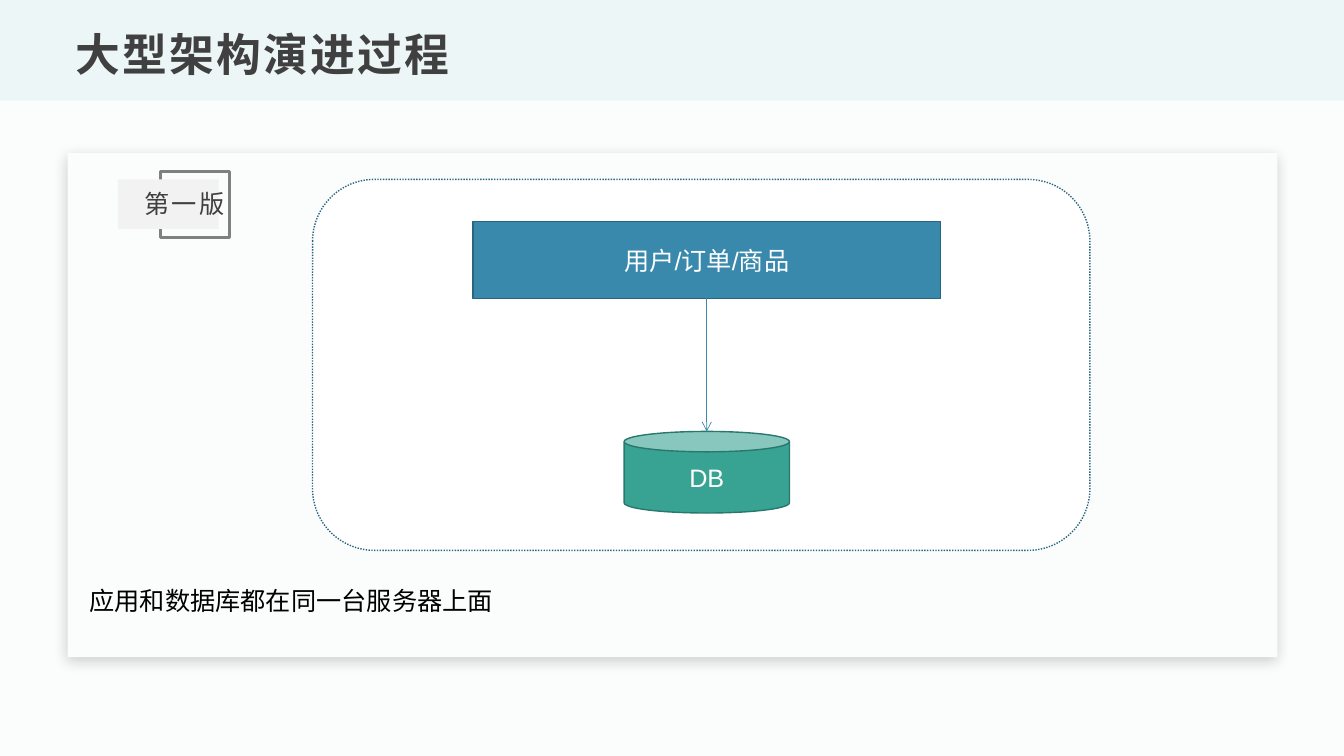
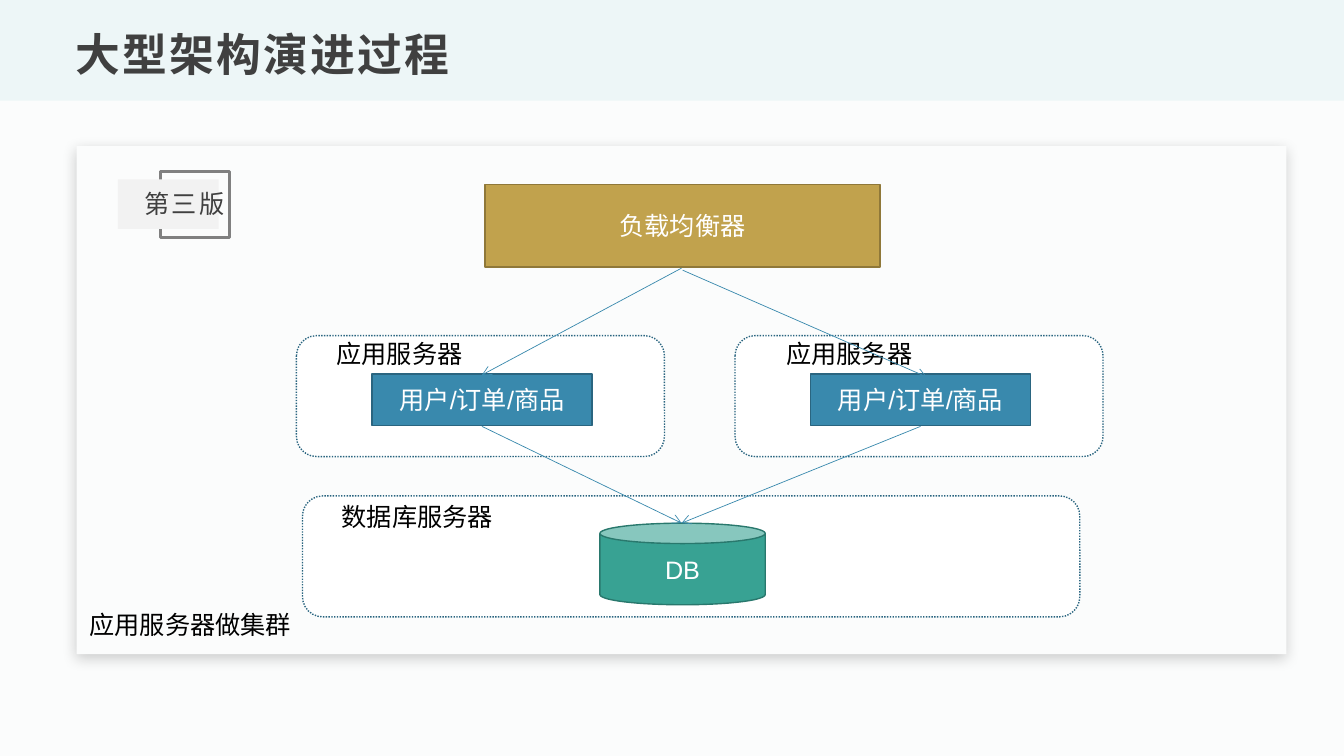
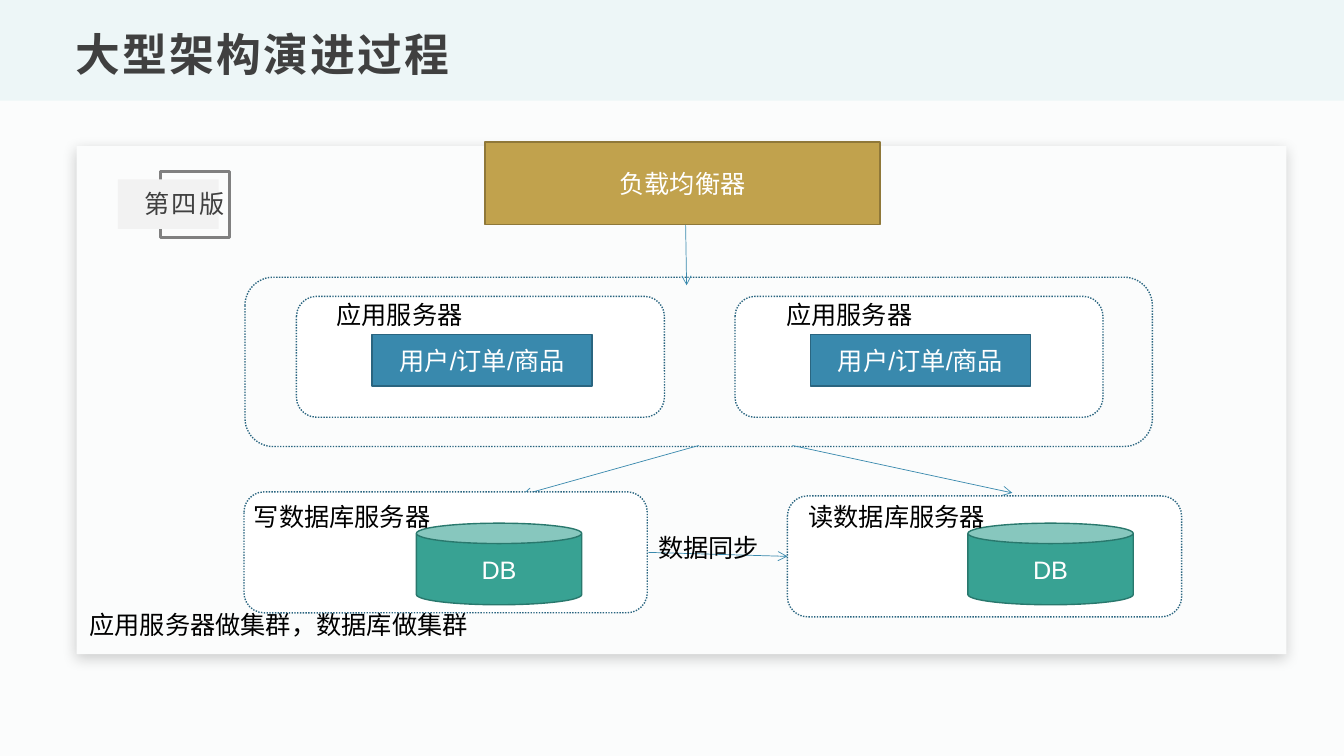
from lxml.etree import SubElement
from pptx import Presentation
from pptx.dml.color import RGBColor
from pptx.enum.dml import MSO_LINE_DASH_STYLE as Dash
from pptx.enum.shapes import MSO_CONNECTOR as Connector, MSO_SHAPE as Shape
from pptx.enum.text import MSO_ANCHOR as Anchor, MSO_AUTO_SIZE as AutoSize, PP_ALIGN as Align
from pptx.oxml.ns import qn
from pptx.util import Inches, Pt

COLORS = {
    "page": "FBFCFC", "band": "EDF6F7", "ink": "404040", "text": "000000",
    "white": "FFFFFF", "tag": "F2F2F2", "tag_line": "808080", "shadow": "0D0D0D",
    "blue": "3989AD", "blue_line": "2A6580", "green": "38A293",
    "green_line": "29786D", "gold": "C1A24D", "gold_line": "8F7839",
}
LATIN = "Arial"
HAN = "Noto Sans CJK SC"
TITLE = "大型架构演进过程"
SERVICES = "用户/订单/商品"
DRUM_SIZE = (1.64, 0.81)
APP_SIZE = (3.65, 1.2)
APP_LEFTS = (2.94, 7.29)
APP_LABEL_GAPS = (0.3, 0.41)
BALANCER_SIZE = (3.92, 0.82)


def color(name):
    return RGBColor.from_string(COLORS[name])


def inches(box):
    return [Inches(length) for length in box]


def write(shape, text, size=18, ink="text", font=LATIN, bold=False, spacing=0,
          align=Align.LEFT, anchor=Anchor.TOP, before=0, wrap=True, grow=False, insets=None):
    frame = shape.text_frame
    frame.word_wrap = wrap
    frame.vertical_anchor = anchor
    frame.auto_size = AutoSize.SHAPE_TO_FIT_TEXT if grow else AutoSize.NONE
    if insets:
        frame.margin_left = frame.margin_right = Inches(insets[0])
        frame.margin_top = frame.margin_bottom = Inches(insets[1])
    para = frame.paragraphs[0]
    para.alignment = align
    if before:
        para.space_before = Pt(before)
    span = para.add_run()
    span.text = text
    span.font.size = Pt(size)
    span.font.bold = bold
    span.font.name = font
    span.font.color.rgb = color(ink)
    props = span.font._element
    SubElement(props, qn("a:ea"), typeface=HAN)
    if spacing:
        props.set("spc", str(round(spacing * 100)))


def add_text(page, box, text, **style):
    write(page.shapes.add_textbox(*inches(box)), text, **style)


def add_label(page, left, top, text, width=2.16):
    add_text(page, (left, top, width, 0.4), text, grow=True)


def add_box(page, box, fill=None, line=None, width=1, kind=Shape.RECTANGLE, dash=None, text=None):
    shape = page.shapes.add_shape(kind, *inches(box))
    shape.shadow.inherit = False
    if fill:
        shape.fill.solid()
        shape.fill.fore_color.rgb = color(fill)
    else:
        shape.fill.background()
    if line:
        shape.line.color.rgb = color(line)
        shape.line.width = Pt(width)
        if dash:
            shape.line.dash_style = dash
    else:
        shape.line.fill.background()
    if text:
        write(shape, text, ink="white", align=Align.CENTER, anchor=Anchor.MIDDLE)
    return shape


def add_frame(page, box, fill="white"):
    add_box(page, box, fill, "blue_line", kind=Shape.ROUNDED_RECTANGLE, dash=Dash.ROUND_DOT)


def add_services(page, box):
    add_box(page, box, "blue", "blue_line", text=SERVICES)


def add_drum(page, left, top):
    add_box(page, (left, top, *DRUM_SIZE), "green", "green_line", kind=Shape.CAN, text="DB")


def add_balancer(page, left, top):
    add_box(page, (left, top, *BALANCER_SIZE), "gold", "gold_line", text="负载均衡器")


def add_arrow(page, start, end):
    arrow = page.shapes.add_connector(Connector.STRAIGHT, *inches(start + end))
    arrow.line.color.rgb = color("blue")
    arrow.line.width = Pt(0.5)
    SubElement(arrow.line._get_or_add_ln(), qn("a:tailEnd"), type="arrow")
    SubElement(arrow._element.spPr, qn("a:effectLst"))


def add_card(page, box):
    card = add_box(page, box, "page")
    effects = card._element.spPr.find(qn("a:effectLst"))
    shadow = SubElement(effects, qn("a:outerShdw"), blurRad=str(Pt(10)), dist=str(Pt(3)),
                        dir="5400000", algn="t", rotWithShape="0")
    tint = SubElement(shadow, qn("a:srgbClr"), val=COLORS["shadow"])
    SubElement(tint, qn("a:alpha"), val="20000")


def add_tag(page, left, top, version):
    add_box(page, (left + 0.42, top, 0.69, 0.66), line="tag_line", width=2)
    add_box(page, (left, top + 0.08, 1, 0.49), "tag")
    add_text(page, (left + 0.18, top + 0.13, 0.98, 0.38), version, ink="ink", font=HAN,
             spacing=1.8, before=8, wrap=False, grow=True, insets=(0.08, 0.04))


def add_page(deck, card, version, note, note_top):
    page = deck.slides.add_slide(deck.slide_layouts[6])
    page.background.fill.solid()
    page.background.fill.fore_color.rgb = color("page")
    add_box(page, (0, 0, 13.33, 1), "band")
    add_card(page, card)
    add_tag(page, 1.17, 1.7, version)
    add_text(page, (0.67, 0.17, 12, 0.67), TITLE, size=32, ink="ink", bold=True,
             spacing=1.5, anchor=Anchor.BOTTOM, insets=(0.08, 0.04))
    add_label(page, 0.79, note_top, note, width=11.76)
    return page


def add_app_servers(page, top):
    for left, gap in zip(APP_LEFTS, APP_LABEL_GAPS):
        add_frame(page, (left, top, *APP_SIZE))
        add_services(page, (left + 0.75, top + 0.38, 2.18, 0.51))
        add_label(page, left + gap, top - 0.02, "应用服务器")


def add_database_server(page, box, label, label_gap, drum_gap, drop=0):
    left, top = box[:2]
    add_frame(page, box)
    add_drum(page, left + drum_gap, top + drop + 0.27)
    add_label(page, left + label_gap, top + drop, label)


def add_single_server(deck):
    page = add_page(deck, (0.67, 1.52, 12, 5), "第一版", "应用和数据库都在同一台服务器上面", 5.76)
    left, top = 3.1, 1.78
    middle = left + 3.91
    add_frame(page, (left, top, 7.71, 3.68))
    add_services(page, (middle - 2.32, top + 0.42, 4.64, 0.76))
    add_drum(page, middle - DRUM_SIZE[0] / 2, top + 2.5)
    add_arrow(page, (middle, top + 1.18), (middle, top + 2.5))


def add_app_cluster(deck):
    page = add_page(deck, (0.76, 1.45, 12, 5.04), "第三版", "应用服务器做集群", 6)
    add_database_server(page, (3, 4.92, 7.71, 1.2), "数据库服务器", 0.29, 2.95)
    add_app_servers(page, 3.33)
    add_balancer(page, 4.81, 1.83)
    for left in APP_LEFTS:
        add_arrow(page, (left + 1.84, 4.23), (6.76, 5.19))
    add_arrow(page, (6.76, 2.66), (4.78, 3.72))
    add_arrow(page, (6.77, 2.68), (9.19, 3.74))


def add_database_cluster(deck):
    page = add_page(deck, (0.76, 1.45, 12, 5.04), "第四版", "应用服务器做集群，数据库做集群", 6)
    add_app_servers(page, 2.94)
    add_frame(page, (2.43, 2.75, 9, 1.68), fill=None)
    add_balancer(page, 4.81, 1.41)
    add_arrow(page, (6.8, 2.23), (6.81, 2.83))
    add_arrow(page, (6.93, 4.42), (5.18, 4.91))
    add_arrow(page, (7.86, 4.42), (10.04, 4.89))
    add_database_server(page, (7.81, 4.92, 3.91, 1.2), "读数据库服务器", 0.11, 1.79)
    add_database_server(page, (2.42, 4.88, 4, 1.2), "写数据库服务器", 0, 1.71, drop=0.04)
    add_arrow(page, (6.43, 5.48), (7.81, 5.52))
    add_label(page, 6.43, 5.23, "数据同步", width=1.3)


def main():
    deck = Presentation()
    deck.slide_width = Inches(13.33)
    deck.slide_height = Inches(7.5)
    add_single_server(deck)
    add_app_cluster(deck)
    add_database_cluster(deck)
    deck.save("out.pptx")


if __name__ == "__main__":
    main()
